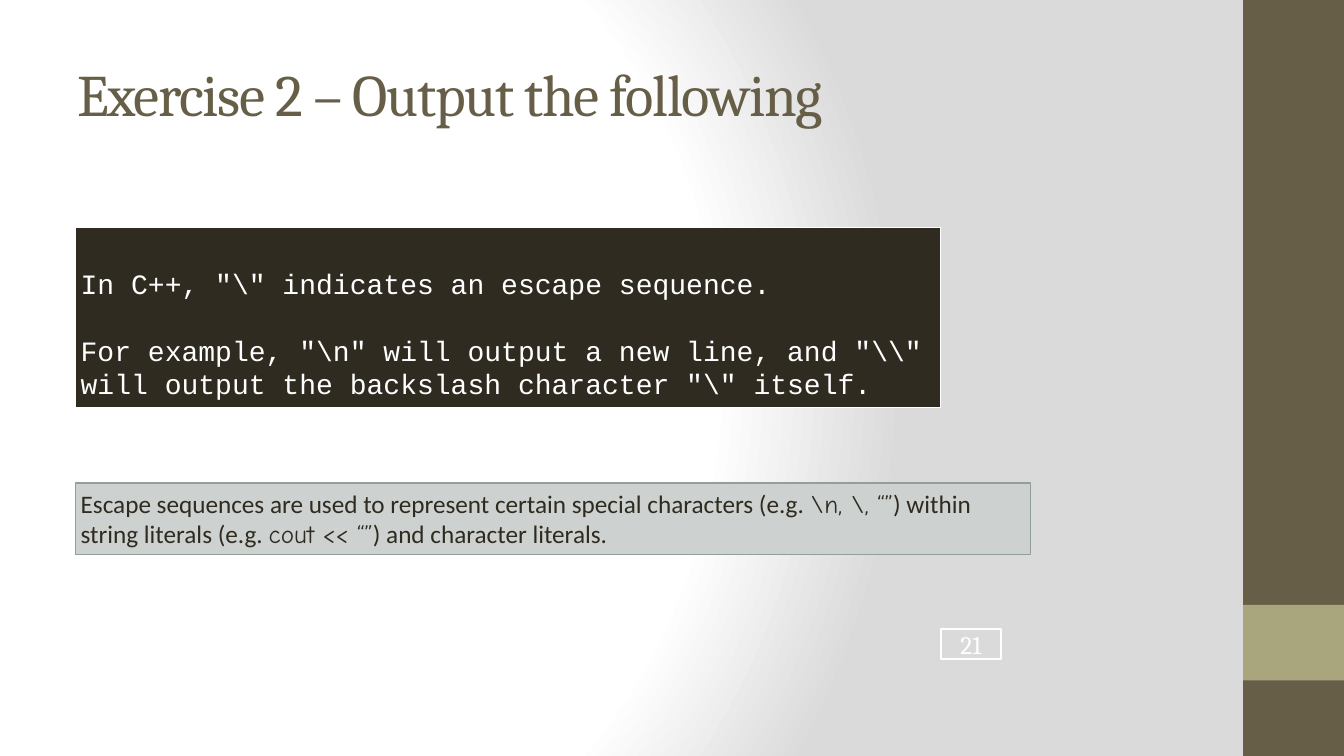
import dataclasses
import typing

import pptx
import pptx.dml.color
import pptx.enum.shapes
import pptx.enum.text
import pptx.oxml
import pptx.oxml.ns
import pptx.util

Inches = pptx.util.Inches
Pt = pptx.util.Pt
Align = pptx.enum.text.PP_ALIGN
Anchor = pptx.enum.text.MSO_ANCHOR

COLOURS = {
    "white": "FFFFFF",
    "mist": "DADADA",
    "brown": "675E47",
    "olive": "A9A57C",
    "ink": "2F2B20",
    "note": "CDD2D0",
    "edge": "91A099",
}
BACKGROUND_STOPS = ((0, "white"), (75, "white"), (100, "mist"))


class Span(typing.NamedTuple):
    text: str
    font: str


@dataclasses.dataclass(frozen=True)
class Box:
    left: float
    top: float
    width: float
    height: float
    fill: str | None = None
    line: str | None = None
    line_width: float = 1
    paragraphs: tuple[tuple[Span, ...], ...] = ()
    size: float = 18
    colour: str = "ink"
    align: Align = Align.LEFT
    anchor: Anchor = Anchor.TOP
    inset: float = 0.05
    top_inset: float = 0.05
    line_height: float | None = None
    gap: float = 0


BOXES = (
    Box(12.33, 0, 1, 7.5, fill="brown"),
    Box(12.33, 6, 1, 0.75, fill="olive"),
    Box(
        0.75, 2.26, 8.58, 1.78, fill="ink", line="white", line_width=0.75,
        paragraphs=(
            (Span(r'In C++, "\" indicates an escape sequence.', "Courier New"),),
            (Span(
                r'For example, "\n" will output a new line, and "\\" '
                r'will output the backslash character "\" itself.',
                "Courier New",
            ),),
        ),
        size=20, colour="white", top_inset=0.38, line_height=24, gap=24,
    ),
    Box(
        9.33, 6.24, 0.6, 0.3, line="white", line_width=1.5,
        paragraphs=((Span("21", "Cambria"),),),
        colour="white", align=Align.CENTER, anchor=Anchor.MIDDLE,
        inset=0, top_inset=0,
    ),
    Box(
        0.75, 4.79, 9.47, 0.71, fill="note", line="edge",
        paragraphs=((
            Span("Escape sequences are used to represent certain special characters (e.g. ", "Calibri"),
            Span(r"\n, \, “”", "Comic Neue"),
            Span(") within string literals (e.g. ", "Calibri"),
            Span("cout << “”", "Comic Neue"),
            Span(") and character literals.", "Calibri"),
        ),),
    ),
)


def colour_of(name: str) -> pptx.dml.color.RGBColor:
    return pptx.dml.color.RGBColor.from_string(COLOURS[name])


def paint_background(page) -> None:
    stops = "".join(
        f'<a:gs pos="{position * 1000}"><a:srgbClr val="{COLOURS[name]}"/></a:gs>'
        for position, name in BACKGROUND_STOPS
    )
    background = pptx.oxml.parse_xml(
        f'<p:bg {pptx.oxml.ns.nsdecls("p", "a")}><p:bgPr>'
        f'<a:gradFill rotWithShape="1"><a:gsLst>{stops}</a:gsLst>'
        '<a:path path="circle"><a:fillToRect l="20000" t="50000" r="100000" b="50000"/></a:path>'
        "</a:gradFill><a:effectLst/></p:bgPr></p:bg>"
    )
    page.element.cSld.insert(0, background)


def write_title(page, text: str) -> None:
    title = page.shapes.title
    title.left, title.top = Inches(0.67), Inches(0.3)
    title.width, title.height = Inches(11.11), Inches(1.25)
    title.text_frame.vertical_anchor = Anchor.MIDDLE
    para = title.text_frame.paragraphs[0]
    para.alignment = Align.LEFT
    para.font.name = "Cambria"
    para.font.size = Pt(42)
    para.font.color.rgb = colour_of("brown")
    span = para.add_run()
    span.text = text
    span.font._element.set("spc", "-100")


def write_text(shape, box: Box) -> None:
    frame = shape.text_frame
    frame.word_wrap = True
    frame.vertical_anchor = box.anchor
    frame.margin_left = frame.margin_right = frame.margin_bottom = Inches(box.inset)
    frame.margin_top = Inches(box.top_inset)
    for index, spans in enumerate(box.paragraphs):
        para = frame.add_paragraph() if index else frame.paragraphs[0]
        para.alignment = box.align
        para.font.size = Pt(box.size)
        para.font.color.rgb = colour_of(box.colour)
        if box.line_height:
            para.line_spacing = Pt(box.line_height)
        if index:
            para.space_before = Pt(box.gap)
        if len({span.font for span in spans}) == 1:
            para.font.name = spans[0].font
        for item in spans:
            span = para.add_run()
            span.text = item.text
            if len(spans) > 1:
                span.font.name = item.font


def draw_box(page, box: Box) -> None:
    shape = page.shapes.add_shape(
        pptx.enum.shapes.MSO_SHAPE.RECTANGLE,
        Inches(box.left), Inches(box.top), Inches(box.width), Inches(box.height),
    )
    shape.shadow.inherit = False
    if box.fill:
        shape.fill.solid()
        shape.fill.fore_color.rgb = colour_of(box.fill)
    else:
        shape.fill.background()
    if box.line:
        shape.line.color.rgb = colour_of(box.line)
        shape.line.width = Pt(box.line_width)
    else:
        shape.line.fill.background()
    if box.paragraphs:
        write_text(shape, box)


def main() -> None:
    deck = pptx.Presentation()
    deck.slide_width, deck.slide_height = Inches(13.33), Inches(7.5)
    page = deck.slides.add_slide(deck.slide_layouts[5])
    paint_background(page)
    write_title(page, "Exercise 2 – Output the following")
    for box in BOXES:
        draw_box(page, box)
    deck.save("out.pptx")


if __name__ == "__main__":
    main()
